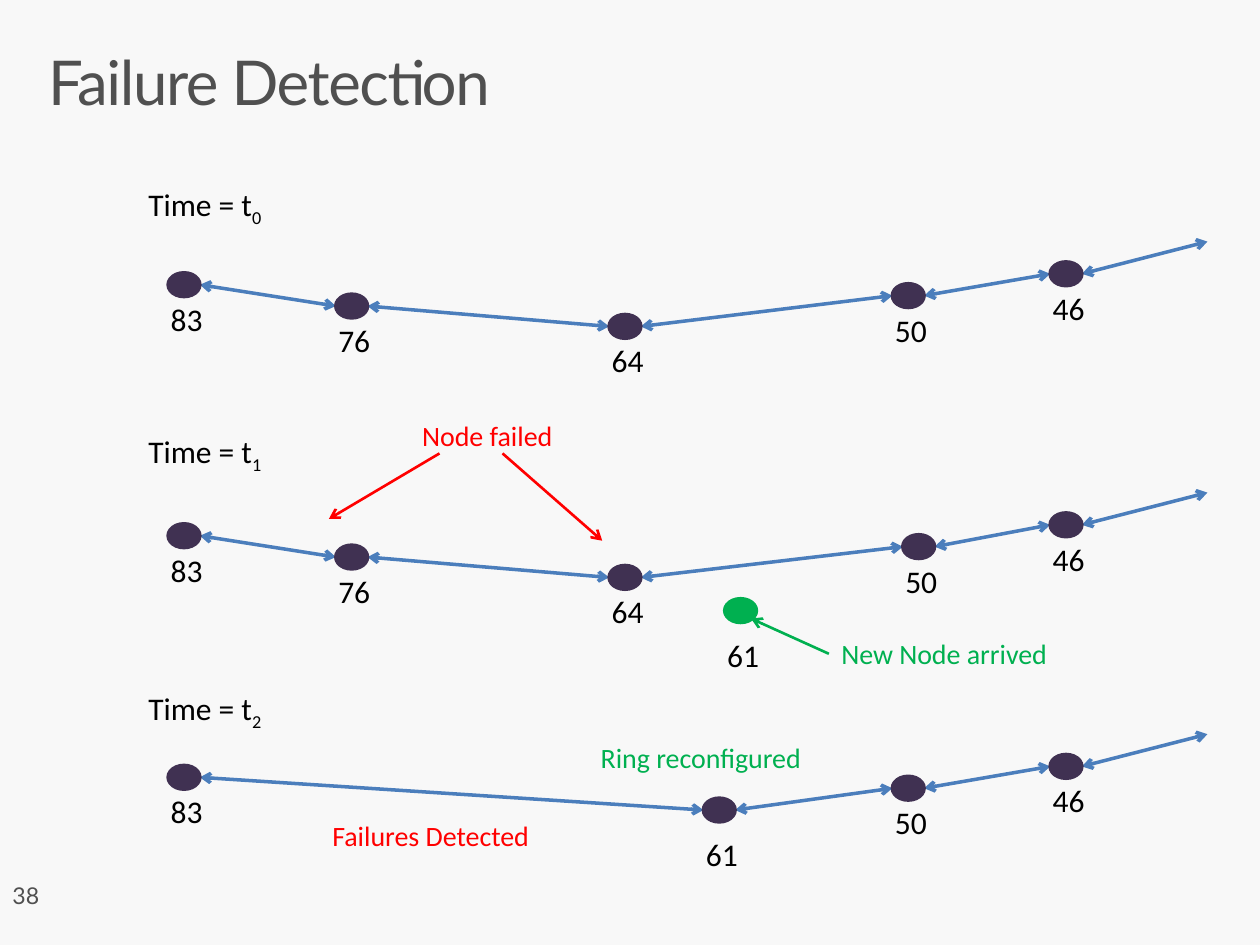
"""Build the slide that shows failure detection in a ring at three times."""
from lxml.etree import SubElement
from pptx import Presentation
from pptx.dml.color import RGBColor
from pptx.enum.shapes import MSO_CONNECTOR as CONNECTOR, MSO_SHAPE as SHAPE
from pptx.oxml.ns import qn
from pptx.util import Cm, Pt

color = RGBColor.from_string
BLACK, GREY, RED, GREEN = "000000", "505050", "FF0000", "00B050"
NODE, LINK, BACKGROUND = "403152", "4B7EBC", "F8F8F8"
NODE_WIDTH, NODE_HEIGHT = 0.64, 0.48
LABEL = {"size": Pt(18), "name": "Calibri"}
NOTE = {"size": Pt(16), "name": "Calibri"}


def add_text(text, left, top, width, height, font_format, ink, subscript="", wrap=True):
    box = slide.shapes.add_textbox(Cm(left), Cm(top), Cm(width), Cm(height))
    box.text_frame.word_wrap = wrap
    paragraph = box.text_frame.paragraphs[0]
    for content in filter(None, (text, subscript)):
        run = paragraph.add_run()
        run.text = content
        for name, value in font_format.items():
            setattr(run.font, name, value)
        run.font.color.rgb = color(ink)
    if subscript:
        run._r.get_or_add_rPr().set("baseline", "-25000")
    return box


def add_arrow(x1, y1, x2, y2, ink, width, ends):
    arrow = slide.shapes.add_connector(CONNECTOR.STRAIGHT, Cm(x1), Cm(y1), Cm(x2), Cm(y2))
    arrow.line.color.rgb = color(ink)
    arrow.line.width = Pt(width)
    line = arrow.line._get_or_add_ln()
    for end in ends:
        SubElement(line, qn(f"a:{end}")).set("type", "arrow")
    SubElement(arrow._element.spPr, qn("a:effectLst"))


presentation = Presentation()
presentation.slide_width, presentation.slide_height = Cm(25.4), Cm(19.05)
slide = presentation.slides.add_slide(presentation.slide_layouts[6])
slide.background.fill.solid()
slide.background.fill.fore_color.rgb = color(BACKGROUND)

title = add_text("Failure Detection", 0.56, 0.81, 24.28, 2.49,
                 {"size": Pt(35.3), "name": "Lato"}, GREY)
title_format = {"margin_left": Cm(0.41), "margin_right": Cm(0.41),
                "margin_top": Cm(0.25), "margin_bottom": Cm(0.25)}
for name, value in title_format.items():
    setattr(title.text_frame, name, value)
title_paragraph = title.text_frame.paragraphs[0]
title_paragraph.line_spacing = 0.9
title_paragraph.runs[0]._r.get_or_add_rPr().set("spc", "-80")
add_text("38", 0, 17.65, 5.51, 1.02, {"size": Pt(13.2), "name": "Lato"}, GREY)

# (label, left edge, drop below the first node, gap from node centre to label)
first, last = ("83", 3.39, 0, 0.18), ("46", 21.17, -0.22, 0.18)
middle = [("76", 6.77, 0.43, 0.18), ("64", 12.28, 0.84, 0.18)]
rings = [
    ("0", 3.61, 5.74, [first, *middle, ("50", 17.99, 0.22, 0.18), last]),
    ("1", 8.59, 10.8, [first, *middle, ("50", 18.2, 0.22, 0.18), last]),
    ("2", 13.77, 15.67, [first, ("61", 14.18, 0.66, 0.38), ("50", 17.99, 0.22, 0.18), last]),
]

nodes = [("61", 14.61, 12.31, 0.39, GREEN)]
for time, time_top, base, ring in rings:
    add_text("Time = t", 2.74, time_top, 2.97, 1.02, LABEL, BLACK, time)
    stops = [(left, base + drop) for _, left, drop, _ in ring] + [(24.34, base - 0.87)]
    for (x1, y1), (x2, y2) in zip(stops, stops[1:]):
        add_arrow(x1 + NODE_WIDTH, y1, x2, y2, LINK, 2, ("headEnd", "tailEnd"))
    nodes += [(label, left, base + drop, gap, NODE) for label, left, drop, gap in ring]

for label, left, center, gap, ink in nodes:
    node = slide.shapes.add_shape(SHAPE.OVAL, Cm(left), Cm(center - NODE_HEIGHT / 2),
                                  Cm(NODE_WIDTH), Cm(NODE_HEIGHT))
    node.shadow.inherit = False
    node.fill.solid()
    node.fill.fore_color.rgb = node.line.color.rgb = color(ink)
    node.line.width = Pt(2)
    add_text(label, left - 0.2, center + gap, 1.4, 1.02, LABEL, BLACK)

for text, left, top, width, ink in [
    ("Node failed", 8.26, 8.31, 3.2, RED),
    ("New Node arrived", 16.71, 12.7, 4.72, GREEN),
    ("Ring reconfigured", 11.86, 14.81, 4.6, GREEN),
    ("Failures Detected", 6.45, 16.38, 4.65, RED),
]:
    add_text(text, left, top, width, 0.94, NOTE, ink, wrap=False)

for x1, y1, x2, y2, ink in [
    (10.13, 9.14, 12.14, 10.9, RED),
    (8.86, 9.14, 6.63, 10.46, RED),
    (16.71, 13.18, 15.14, 12.47, GREEN),
]:
    add_arrow(x1, y1, x2, y2, ink, 1.5, ("tailEnd",))

presentation.save("out.pptx")
